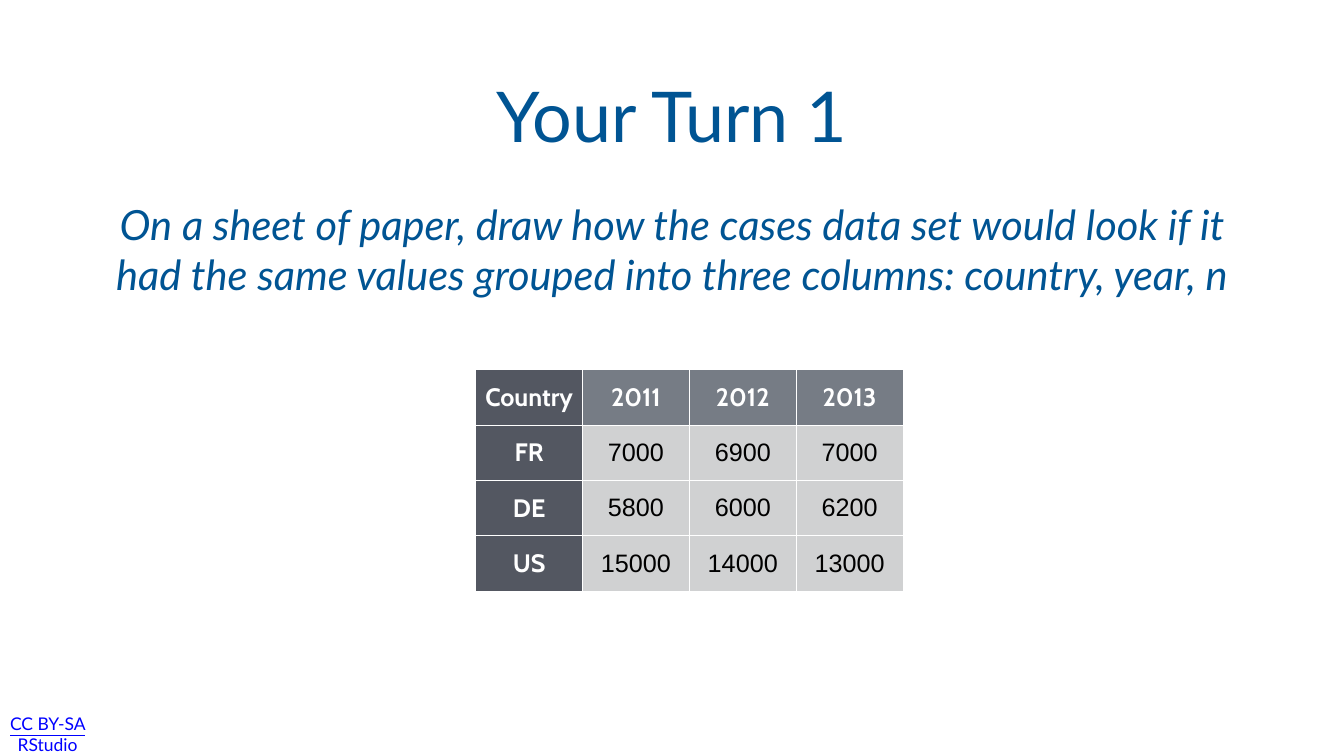
from lxml.etree import SubElement
from pptx import Presentation
from pptx.dml.color import RGBColor
from pptx.enum.text import MSO_ANCHOR as Anchor, PP_ALIGN as Align
from pptx.oxml.ns import qn
from pptx.util import Inches, Pt

WHITE = RGBColor(0xFF, 0xFF, 0xFF)
BLACK = RGBColor(0, 0, 0)
BLUE = RGBColor(0x00, 0x54, 0x93)
LINK_BLUE = RGBColor(0x00, 0x00, 0xFF)
HEADER_GRAY = RGBColor(0x76, 0x7C, 0x85)
LABEL_GRAY = RGBColor(0x53, 0x57, 0x61)
VALUE_GRAY = RGBColor(0xD0, 0xD1, 0xD2)

CASES = [
    ("Country", "2011", "2012", "2013"),
    ("FR", "7000", "6900", "7000"),
    ("DE", "5800", "6000", "6200"),
    ("US", "15000", "14000", "13000"),
]
COLUMN_WIDTH, ROW_HEIGHT = 2.12, 1.1


def write(frame, text, size, color, font="Lato", bold=False, italic=False,
          underline=False):
    """Put one centred, formatted paragraph into a text frame."""
    paragraph = frame.paragraphs[0]
    paragraph.alignment = Align.CENTER
    run = paragraph.add_run()
    run.text = text
    run.font.name = font
    run.font.size = Pt(size)
    run.font.color.rgb = color
    run.font.bold = bold
    run.font.italic = italic
    run.font.underline = underline


def add_text(slide, left, top, width, height, text, inset=0.08,
             anchor=Anchor.MIDDLE, **text_format):
    box = slide.shapes.add_textbox(Inches(left), Inches(top),
                                   Inches(width), Inches(height))
    frame = box.text_frame
    frame.word_wrap = True
    frame.vertical_anchor = anchor
    frame.margin_left = frame.margin_right = Inches(inset)
    frame.margin_top = frame.margin_bottom = Inches(inset)
    write(frame, text, **text_format)


def set_borders(cell, color, width):
    properties = cell._tc.get_or_add_tcPr()
    for position, side in enumerate(("lnL", "lnR", "lnT", "lnB")):
        line = properties.makeelement(qn(f"a:{side}"), {"w": str(Pt(width))})
        fill = SubElement(line, qn("a:solidFill"))
        SubElement(fill, qn("a:srgbClr"), val=str(color))
        properties.insert(position, line)


def style_cell(cell, text, is_header, is_label):
    cell.vertical_anchor = Anchor.MIDDLE
    cell.margin_left = cell.margin_right = Inches(0.06)
    cell.margin_top = cell.margin_bottom = Inches(0.06)
    cell.fill.solid()
    if is_label:
        cell.fill.fore_color.rgb = LABEL_GRAY
    else:
        cell.fill.fore_color.rgb = HEADER_GRAY if is_header else VALUE_GRAY
    set_borders(cell, WHITE, 1)
    if is_header or is_label:
        write(cell.text_frame, text, 36, WHITE, font="Cabin", bold=True)
    else:
        write(cell.text_frame, text, 36, BLACK, font="Arial")


def add_cases_table(slide, left, top):
    row_count, column_count = len(CASES), len(CASES[0])
    table = slide.shapes.add_table(
        row_count, column_count, Inches(left), Inches(top),
        Inches(COLUMN_WIDTH * column_count),
        Inches(ROW_HEIGHT * row_count)).table
    for row, values in enumerate(CASES):
        for column, value in enumerate(values):
            style_cell(table.cell(row, column), value, row == 0, column == 0)


def main():
    deck = Presentation()
    deck.slide_width, deck.slide_height = Inches(26.67), Inches(15)
    slide = deck.slides.add_slide(deck.slide_layouts[6])

    add_text(slide, 0.12, 14.15, 1.65, 0.83, "CC BY-SA RStudio", inset=0,
             size=25, color=LINK_BLUE, underline=True)
    add_text(slide, 5.29, 0.39, 16.09, 3.75, "Your Turn 1",
             size=100, color=BLUE)
    add_text(slide, 1.58, 3.86, 23.51, 2.42,
             "On a sheet of paper, draw how the cases data set would look if "
             "it had the same values grouped into three columns: country, "
             "year, n",
             anchor=Anchor.TOP, size=59.4, color=BLUE, italic=True)
    add_cases_table(slide, 9.44, 7.33)

    deck.save("out.pptx")


if __name__ == "__main__":
    main()
